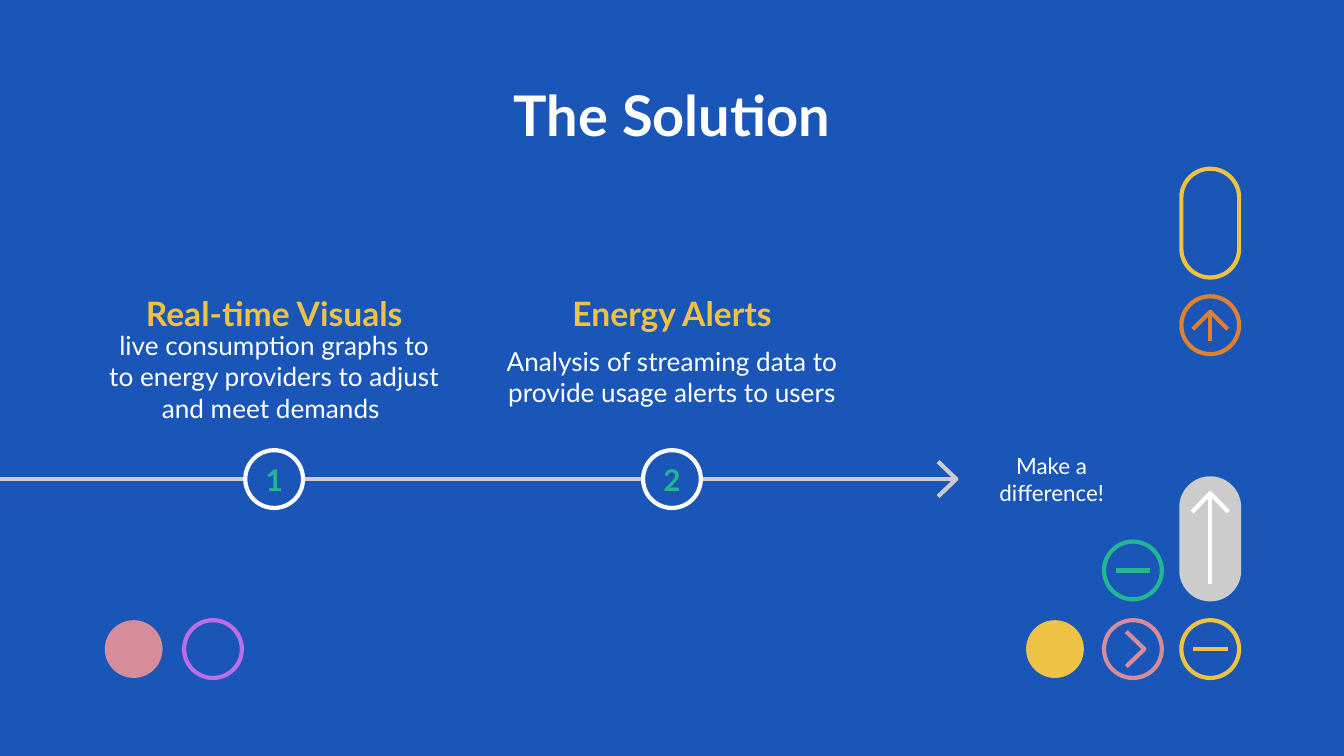
from dataclasses import dataclass
from typing import NamedTuple, Optional

from lxml.etree import SubElement
from pptx import Presentation
from pptx.dml.color import RGBColor
from pptx.enum.shapes import MSO_CONNECTOR, MSO_SHAPE
from pptx.enum.text import MSO_ANCHOR, MSO_AUTO_SIZE, PP_ALIGN
from pptx.oxml.ns import qn
from pptx.util import Pt

PX = 4572  # EMU per px, 200 px to the inch
DOT = 86   # diameter of every circle and width of every pill


@dataclass(frozen=True)
class Theme:
    font: str = "Lato"
    blue: str = "1A56B8"
    white: str = "FFFFFF"
    grey: str = "CCCCCC"
    yellow: str = "EEC242"
    green: str = "21B793"
    pink: str = "D78C9B"
    purple: str = "BD6DE6"
    orange: str = "E08130"
    title: int = 30
    heading: int = 18
    number: int = 16
    body: int = 14
    note: int = 12
    stroke: float = 2.25


T = Theme()


class Box(NamedTuple):
    x: int
    y: int
    w: int
    h: int


class Pill(NamedTuple):
    """A vertical capsule; a circle when its height is DOT."""
    x: int
    y: int
    h: int = DOT
    fill: Optional[str] = None
    line: Optional[str] = None


class Stroke(NamedTuple):
    """A polyline through its points."""
    points: tuple[tuple[int, int], ...]
    color: str


class Step(NamedTuple):
    x: int
    number: str
    heading: str
    text: str


AXIS_Y = 713
STEP_W = 504
STEPS = (
    Step(156, "1", "Real-time Visuals",
         "live consumption graphs to to energy providers to adjust and meet demands "),
    Step(748, "2", "Energy Alerts",
         "Analysis of streaming data to provide usage alerts to users"),
)

ROW_Y = 923
ICON_X = 1758
INNER_X = 1643
PILLS = (
    Pill(ICON_X, 251, h=162, line=T.yellow),
    Pill(ICON_X, 441, line=T.orange),
    Pill(ICON_X, 712, h=180, fill=T.grey, line=T.grey),
    Pill(INNER_X, 806, line=T.green),
    Pill(156, ROW_Y, fill=T.pink),
    Pill(274, ROW_Y, line=T.purple),
    Pill(1527, ROW_Y, fill=T.yellow),
    Pill(INNER_X, ROW_Y, line=T.pink),
    Pill(ICON_X, ROW_Y, line=T.yellow),
)
STROKES = (
    Stroke(((1396, 687), (1423, 713), (1396, 739)), T.grey),
    Stroke(((1676, 940), (1703, 966), (1676, 992)), T.pink),
    Stroke(((1660, 849), (1712, 849)), T.green),
    Stroke(((1775, 966), (1827, 966)), T.yellow),
    Stroke(((1775, 490), (1801, 464), (1827, 490)), T.orange),
    Stroke(((1801, 464), (1801, 508)), T.orange),
    Stroke(((1774, 762), (1801, 734), (1828, 762)), T.white),
    Stroke(((1801, 734), (1801, 869)), T.white),
)


def rgb(color: str) -> RGBColor:
    return RGBColor.from_string(color)


def set_attrs(obj, **values) -> None:
    for name, value in values.items():
        setattr(obj, name, value)


def emu(box: Box) -> list[int]:
    return [v * PX for v in box]


def style(sp, fill: Optional[str], line: Optional[str]) -> None:
    sp.shadow.inherit = False
    if fill:
        sp.fill.solid()
        sp.fill.fore_color.rgb = rgb(fill)
    else:
        sp.fill.background()
    if line:
        sp.line.color.rgb = rgb(line)
        sp.line.width = Pt(T.stroke)
    else:
        sp.line.fill.background()


def write(sp, text: str, size: int, color: str, bold: bool = False) -> None:
    """Fill a shape with one centred paragraph."""
    tf = sp.text_frame
    set_attrs(tf, word_wrap=True, auto_size=MSO_AUTO_SIZE.NONE,
              vertical_anchor=MSO_ANCHOR.MIDDLE,
              margin_left=0, margin_right=0, margin_top=0, margin_bottom=0)
    p = tf.paragraphs[0]
    p.alignment = PP_ALIGN.CENTER
    r = p.add_run()
    r.text = text
    set_attrs(r.font, name=T.font, size=Pt(size), bold=bold)
    r.font.color.rgb = rgb(color)


def add_text(s, box: Box, text: str, size: int, color: str, bold: bool = False) -> None:
    write(s.shapes.add_textbox(*emu(box)), text, size, color, bold)


def add_pill(s, pill: Pill) -> None:
    kind = MSO_SHAPE.OVAL if pill.h == DOT else MSO_SHAPE.ROUNDED_RECTANGLE
    sp = s.shapes.add_shape(kind, *emu(Box(pill.x, pill.y, DOT, pill.h)))
    if pill.h != DOT:
        sp.adjustments[0] = 0.5
    style(sp, pill.fill, pill.line)


def add_stroke(s, stroke: Stroke) -> None:
    """Draw two points as a connector, more as an open outline."""
    start, *rest = stroke.points
    if len(rest) == 1:
        sp = s.shapes.add_connector(MSO_CONNECTOR.STRAIGHT,
                                    *(v * PX for v in (*start, *rest[0])))
        sp.line.color.rgb = rgb(stroke.color)
        sp.line.width = Pt(T.stroke)
        SubElement(sp._element.spPr, qn("a:effectLst"))
    else:
        builder = s.shapes.build_freeform(*start, scale=PX)
        builder.add_line_segments(rest, close=False)
        style(builder.convert_to_shape(), None, stroke.color)


def add_step(s, step: Step) -> None:
    dot_x = step.x + (STEP_W - DOT) // 2
    add_text(s, Box(step.x, 427, STEP_W, 78), step.heading, T.heading, T.yellow, True)
    add_text(s, Box(step.x, 507, STEP_W, 106), step.text, T.body, T.white)
    add_pill(s, Pill(dot_x, AXIS_Y - DOT // 2, fill=T.blue, line=T.white))
    add_text(s, Box(dot_x, 675, DOT, 78), step.number, T.number, T.green, True)


def main() -> None:
    prs = Presentation()
    set_attrs(prs, slide_width=2000 * PX, slide_height=1125 * PX)
    s = prs.slides.add_slide(prs.slide_layouts[5])
    s.background.fill.solid()
    s.background.fill.fore_color.rgb = rgb(T.blue)

    title = s.shapes.title
    set_attrs(title, **dict(zip(("left", "top", "width", "height"),
                                emu(Box(156, 118, 1688, 104)))))
    write(title, "The Solution", T.title, T.white, True)

    add_stroke(s, Stroke(((-10, AXIS_Y), (1423, AXIS_Y)), T.grey))
    for step in STEPS:
        add_step(s, step)
    add_text(s, Box(1467, 660, 196, 106), "Make a difference!", T.note, T.white)
    for pill in PILLS:
        add_pill(s, pill)
    for stroke in STROKES:
        add_stroke(s, stroke)

    prs.save("out.pptx")


if __name__ == "__main__":
    main()
